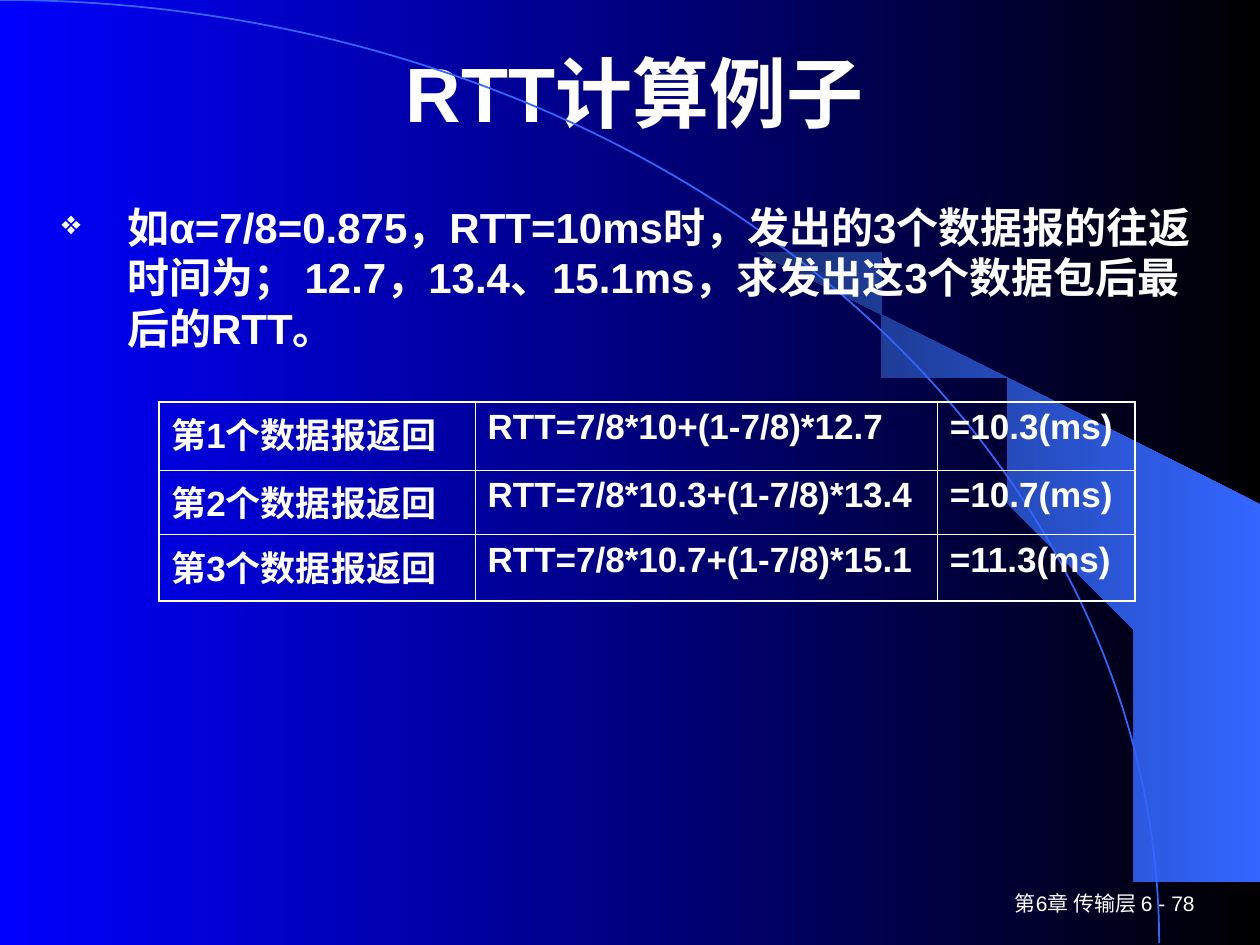
from dataclasses import dataclass

import lxml.etree
import pptx
import pptx.dml.color
import pptx.enum.shapes
import pptx.enum.text
import pptx.oxml.ns
import pptx.util
from pptx.util import Inches, Pt

FONT = "Arial"
WHITE = "FFFFFF"
BLUE = "3366FF"
OUTER_BORDER = 1.08
INNER_BORDER = 0.45
ALIGN = pptx.enum.text.PP_ALIGN
ANCHOR = pptx.enum.text.MSO_ANCHOR


@dataclass
class Box:
    left: float
    top: float
    width: float
    height: float

    def lengths(self) -> tuple:
        return tuple(Inches(v) for v in (self.left, self.top, self.width, self.height))


@dataclass
class Step:
    packet: str
    formula: str
    result: str


CRESCENT = [
    (9.2, 7.48), (9.99, 7.49), (9.99, 4.23), (5.89, 1.73), (6.24, 1.99),
    (6.53, 2.22), (6.85, 2.5), (7.16, 2.8), (7.62, 3.3), (8.03, 3.84),
    (8.32, 4.31), (8.58, 4.79), (8.78, 5.28), (8.93, 5.72), (9.03, 6.09),
    (9.13, 6.56), (9.17, 6.96),
]
STEPS = [
    Step("第1个数据报返回", "RTT=7/8*10+(1-7/8)*12.7", "=10.3(ms)"),
    Step("第2个数据报返回", "RTT=7/8*10.3+(1-7/8)*13.4", "=10.7(ms)"),
    Step("第3个数据报返回", "RTT=7/8*10.7+(1-7/8)*15.1", "=11.3(ms)"),
]
COLUMN_WIDTHS = [2.51, 3.67, 1.57]
ROW_HEIGHTS = [0.54, 0.51, 0.53]


def color(value: str) -> pptx.dml.color.RGBColor:
    return pptx.dml.color.RGBColor.from_string(value)


def add_element(parent, tag: str, **attributes):
    return lxml.etree.SubElement(parent, pptx.oxml.ns.qn(tag), **attributes)


def set_gradient(fill, start: str, end: str) -> None:
    fill.gradient()
    fill.gradient_angle = 180
    for stop, value in zip(fill.gradient_stops, (start, end)):
        stop.color.rgb = color(value)


def write_text(text_frame, text: str, size: float, bold: bool, align=ALIGN.LEFT):
    text_frame.word_wrap = True
    paragraph = text_frame.paragraphs[0]
    paragraph.text = text
    paragraph.alignment = align
    paragraph.font.name = FONT
    paragraph.font.size = Pt(size)
    paragraph.font.bold = bold
    paragraph.font.color.rgb = color(WHITE)
    return paragraph


def add_text(slide, box: Box, text: str, size: float, bold: bool,
             align=ALIGN.LEFT, anchor=ANCHOR.TOP):
    text_frame = slide.shapes.add_textbox(*box.lengths()).text_frame
    text_frame.vertical_anchor = anchor
    return write_text(text_frame, text, size, bold, align)


def add_bullet(paragraph, character: str, indent: float) -> None:
    properties = paragraph._p.get_or_add_pPr()
    properties.set("marL", str(Inches(indent)))
    properties.set("indent", str(-Inches(indent)))
    bullet_color = pptx.oxml.parse_xml(
        f'<a:buClr {pptx.oxml.ns.nsdecls("a")}><a:srgbClr val="{WHITE}"/></a:buClr>')
    properties.insert(0, bullet_color)
    size = lxml.etree.Element(pptx.oxml.ns.qn("a:buSzPct"), val="80000")
    mark = lxml.etree.Element(pptx.oxml.ns.qn("a:buChar"), char=character)
    bullet_color.addnext(size)
    size.addnext(mark)


def set_border(cell, side: str, width: float) -> None:
    line = add_element(cell._tc.get_or_add_tcPr(), f"a:ln{side}", w=str(Pt(width)))
    add_element(add_element(line, "a:solidFill"), "a:srgbClr", val=WHITE)


def add_background(slide) -> None:
    set_gradient(slide.background.fill, "000000", "0000FF")
    builder = slide.shapes.build_freeform(*CRESCENT[0], scale=Inches(1))
    builder.add_line_segments(CRESCENT[1:], close=True)
    crescent = builder.convert_to_shape()
    crescent.shadow.inherit = False
    set_gradient(crescent.fill, BLUE, "172F75")
    crescent.line.fill.background()

    arc = slide.shapes.add_shape(
        pptx.enum.shapes.MSO_SHAPE.ARC, *Box(-9.2, 0, 18.4, 14.97).lengths())
    arc.shadow.inherit = False
    arc.fill.background()
    arc.line.color.rgb = color(BLUE)
    arc.line.width = Pt(1)


def add_title(slide, box: Box, text: str) -> None:
    title = slide.shapes.title
    title.left, title.top, title.width, title.height = box.lengths()
    title.text_frame.vertical_anchor = ANCHOR.MIDDLE
    write_text(title.text_frame, text, 44, True, ALIGN.CENTER)


def add_steps_table(slide, box: Box, steps: list[Step]) -> None:
    last_row, last_column = len(steps) - 1, len(COLUMN_WIDTHS) - 1
    table = slide.shapes.add_table(
        len(steps), len(COLUMN_WIDTHS), *box.lengths()).table
    table.first_row = False
    table.horz_banding = False
    for column, width in zip(table.columns, COLUMN_WIDTHS):
        column.width = Inches(width)
    for row, height in zip(table.rows, ROW_HEIGHTS):
        row.height = Inches(height)
    for i, step in enumerate(steps):
        for j, text in enumerate((step.packet, step.formula, step.result)):
            cell = table.cell(i, j)
            write_text(cell.text_frame, text, 20, True)
            outer_sides = {"L": j == 0, "R": j == last_column,
                           "T": i == 0, "B": i == last_row}
            for side, outer in outer_sides.items():
                set_border(cell, side, OUTER_BORDER if outer else INNER_BORDER)
            cell.fill.background()


def main() -> None:
    presentation = pptx.Presentation()
    presentation.slide_width = Inches(10)
    presentation.slide_height = Inches(7.5)
    slide = presentation.slides.add_slide(presentation.slide_layouts[5])

    add_background(slide)
    add_text(slide, Box(7.5, 7, 2.08, 0.33), "第6章 传输层 6 - 78", 12, False,
             ALIGN.RIGHT, ANCHOR.MIDDLE)
    add_title(slide, Box(0.79, 0.24, 8.5, 0.97), "RTT计算例子")
    question = add_text(
        slide, Box(0.39, 1.55, 9.25, 1.36),
        "如α=7/8=0.875，RTT=10ms时，发出的3个数据报的往返时间为； "
        "12.7，13.4、15.1ms，求发出这3个数据包后最后的RTT。", 24, True)
    add_bullet(question, "❖", 0.52)
    add_steps_table(
        slide, Box(1.26, 3.19, sum(COLUMN_WIDTHS), sum(ROW_HEIGHTS)), STEPS)
    presentation.save("out.pptx")


if __name__ == "__main__":
    main()
